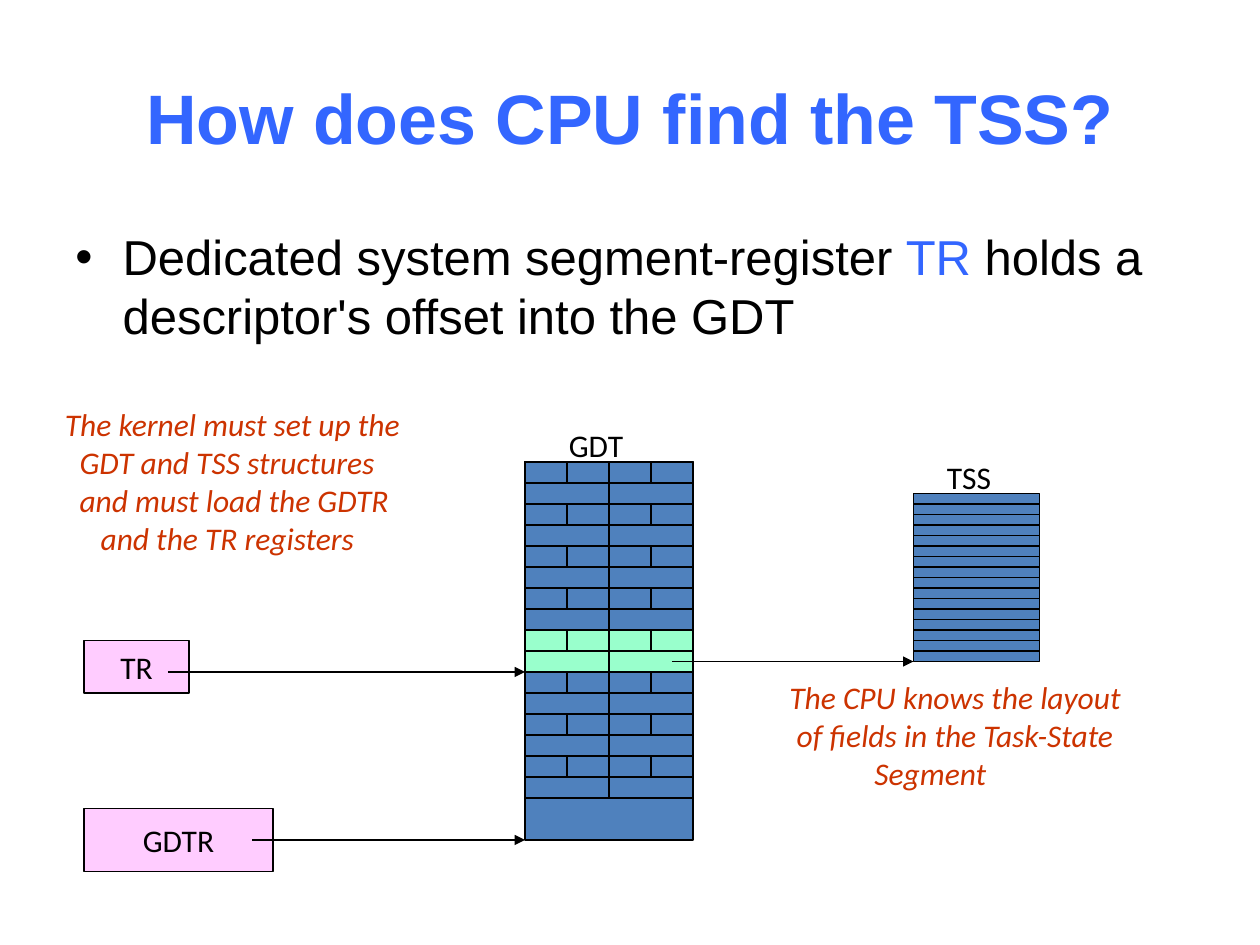
"""Build a slide showing how the CPU finds the TSS through TR, GDTR and the GDT."""
from lxml.etree import SubElement
from pptx import Presentation
from pptx.dml.color import RGBColor
from pptx.enum.shapes import MSO_CONNECTOR, MSO_SHAPE
from pptx.enum.text import MSO_ANCHOR, PP_ALIGN
from pptx.oxml.ns import qn
from pptx.util import Inches, Pt

COLUMNS, ROWS = 120, 90
BLACK, ACCENT, NOTE = "000000", "3366FF", "CC3300"
TABLE_FILL, ENTRY_FILL, REGISTER_FILL = "4F81BD", "99FFCC", "FFCCFF"

deck = Presentation()
deck.slide_width, deck.slide_height = Inches(10), Inches(7.5)
UNIT = deck.slide_width // COLUMNS
slide = deck.slides.add_slide(deck.slide_layouts[6])


def add_block(column, row, width, height, fill):
    place = [round(n * UNIT) for n in (column, row, width, height)]
    block = slide.shapes.add_shape(MSO_SHAPE.RECTANGLE, *place)
    block.shadow.inherit = False
    block.fill.solid()
    block.fill.fore_color.rgb = RGBColor.from_string(fill)
    block.line.color.rgb = RGBColor.from_string(BLACK)
    block.line.width = Pt(0.75)
    return block


def add_run(paragraph, words, size=18, color=BLACK, font="Calibri", bold=False, italic=False):
    run = paragraph.add_run()
    run.text = words
    run.font.name, run.font.size = font, Pt(size)
    run.font.bold, run.font.italic = bold, italic
    run.font.color.rgb = RGBColor.from_string(color)


title = slide.shapes.add_textbox(6 * UNIT, round(3.6 * UNIT), 108 * UNIT, 15 * UNIT).text_frame
title.word_wrap = True
title.vertical_anchor = MSO_ANCHOR.MIDDLE
title.paragraphs[0].alignment = PP_ALIGN.CENTER
add_run(title.paragraphs[0], "How does CPU find the TSS?", 40, ACCENT, "Arial", bold=True)

body = slide.shapes.add_textbox(6 * UNIT, 21 * UNIT, 108 * UNIT, round(59.4 * UNIT)).text_frame
body.word_wrap = True
point = body.paragraphs[0]
bullet = point._p.get_or_add_pPr()
bullet.set("marL", str(round(4.5 * UNIT)))
bullet.set("indent", str(round(-4.5 * UNIT)))
SubElement(bullet, qn("a:buFont"), typeface="Arial")
SubElement(bullet, qn("a:buChar"), char="•")
for words, color in [
    ("Dedicated system segment-register ", BLACK),
    ("TR", ACCENT),
    (" holds a descriptor's offset into the GDT", BLACK),
]:
    add_run(point, words, 28, color, "Arial")

for name, row, width, height in [("TR", 61, 10, 5), ("GDTR", 77, 18, 6)]:
    register = add_block(8, row, width, height, REGISTER_FILL).text_frame
    register.word_wrap = False
    register.vertical_anchor = MSO_ANCHOR.MIDDLE
    register.paragraphs[0].alignment = PP_ALIGN.CENTER
    add_run(register.paragraphs[0], name)

GDT_LEFT, GDT_TOP, GDT_WIDTH, TR_ENTRY = 50, 44, 16, 4
add_block(GDT_LEFT, GDT_TOP, GDT_WIDTH, 36, TABLE_FILL)
for entry in range(8):
    entry_top = GDT_TOP + 4 * entry
    fill = ENTRY_FILL if entry == TR_ENTRY else TABLE_FILL
    add_block(GDT_LEFT, entry_top, GDT_WIDTH, 4, TABLE_FILL)
    for row, parts in [(entry_top + 2, 2), (entry_top, 4)]:
        width = GDT_WIDTH // parts
        for part in range(parts):
            add_block(GDT_LEFT + part * width, row, width, 2, fill)

for field in range(16):
    add_block(87, 47 + field, 12, 1, TABLE_FILL)

for start, end, row in [(24, 50, 80), (16, 50, 64), (64, 87, 63)]:
    arrow = slide.shapes.add_connector(
        MSO_CONNECTOR.STRAIGHT, start * UNIT, row * UNIT, end * UNIT, row * UNIT
    )
    arrow.line.color.rgb = RGBColor.from_string(BLACK)
    arrow.line.width = Pt(0.75)
    SubElement(arrow.line._get_or_add_ln(), qn("a:tailEnd"), type="triangle")
    SubElement(arrow._element.spPr, qn("a:effectLst"))

captions = [
    (53, 40, 9, 4.8, BLACK, [("GDT", 0)]),
    (89, 43, 8.5, 4.8, BLACK, [("TSS", 0)]),
    (74, 64, 38, 12, NOTE, [
        ("The CPU knows the layout", 0),
        ("of fields in the Task-State", 0.7),
        ("Segment", 8.1),
    ]),
    (5, 38, 38, 15.6, NOTE, [
        ("The kernel must set up the", 0),
        ("GDT and TSS structures", 1.4),
        ("and must load the GDTR", 1.4),
        ("and the TR registers", 3.4),
    ]),
]
for column, row, width, height, color, lines in captions:
    place = [round(n * UNIT) for n in (column, row, width, height)]
    caption = slide.shapes.add_textbox(*place).text_frame
    caption.word_wrap = True
    for number, (words, indent) in enumerate(lines):
        line = caption.add_paragraph() if number else caption.paragraphs[0]
        line._p.get_or_add_pPr().set("marL", str(round(indent * UNIT)))
        add_run(line, words, color=color, italic=color == NOTE)

deck.save("out.pptx")
